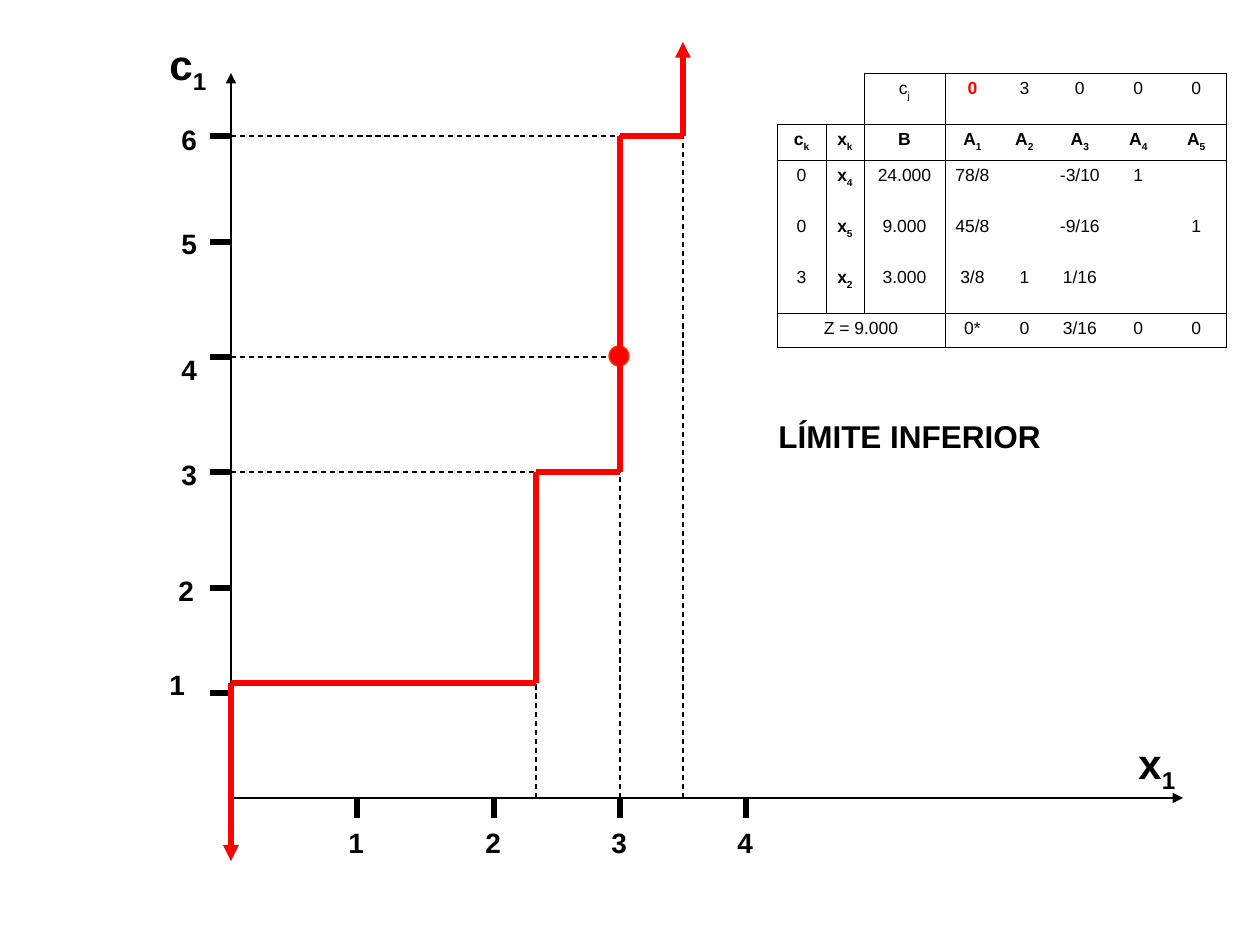
from itertools import pairwise

from lxml import etree
from pptx import Presentation
from pptx.dml.color import RGBColor
from pptx.enum.dml import MSO_LINE
from pptx.enum.shapes import MSO_CONNECTOR, MSO_SHAPE
from pptx.enum.text import PP_ALIGN
from pptx.oxml.ns import qn
from pptx.util import Pt

PX = 914400 / 126
FONT = "Arial"
BLACK = RGBColor(0x00, 0x00, 0x00)
RED = RGBColor(0xFF, 0x00, 0x00)
ORANGE_RED = RGBColor(0xFF, 0x33, 0x00)
STRAIGHT = MSO_CONNECTOR.STRAIGHT
OVAL = MSO_SHAPE.OVAL
DASH = MSO_LINE.DASH
CENTER = PP_ALIGN.CENTER

X_TICKS = [126, 263, 389, 515]
Y_TICKS = [105, 210, 326, 441, 556, 662]
Y_LABELS = [(-74, 137), (-65, 231), (-62, 347), (-62, 452), (-62, 578), (-62, 682)]
STEPS = [(0, -63), (0, 115), (305, 115), (305, 326), (389, 326),
         (389, 441), (389, 662), (452, 662), (452, 756)]
GUIDES = [((305, 0), (305, 115)), ((389, 0), (389, 441)), ((452, 0), (452, 662)),
          ((0, 326), (389, 326)), ((0, 441), (378, 441)), ((0, 662), (389, 662))]

COLUMN_WIDTHS = [49, 38, 81, 55, 49, 62, 55, 61]
ROW_HEIGHTS = [51, 36, 51, 51, 51, 34]
CELLS = [
    ["", "", "c_j", "0", "3", "0", "0", "0"],
    ["c_k", "x_k", "B", "A_1", "A_2", "A_3", "A_4", "A_5"],
    ["0", "x_4", "24.000", "78/8", "", "-3/10", "1", ""],
    ["0", "x_5", "9.000", "45/8", "", "-9/16", "", "1"],
    ["3", "x_2", "3.000", "3/8", "1", "1/16", "", ""],
    ["Z = 9.000", "", "", "0*", "0", "3/16", "0", "0"],
]
VERTICAL_RULES = {0: range(1, 6), 1: range(1, 5), 2: range(5), 3: range(6), 8: range(6)}
HORIZONTAL_RULES = {0: range(2, 8), 1: range(8), 2: range(8), 5: range(8), 6: range(8)}


def emu(pixels):
    return round(pixels * PX)


def write(paragraph, text, size, bold=True, color=BLACK):
    base, _, subscript = text.partition("_")
    paragraph.text = base
    if subscript:
        run = paragraph.add_run()
        run.text = subscript
        run._r.get_or_add_rPr().set("baseline", "-25000")
    for run in paragraph.runs:
        run.font.name = FONT
        run.font.size = Pt(size)
        run.font.bold = bold
        run.font.color.rgb = color


def add_label(slide, box, text, size, wrap=False):
    shape = slide.shapes.add_textbox(*map(emu, box))
    shape.text_frame.word_wrap = wrap
    write(shape.text_frame.paragraphs[0], text, size)


def add_line(slide, start, end, width, color=BLACK, dashed=False, arrow=False):
    connector = slide.shapes.add_connector(STRAIGHT, *map(emu, (*start, *end)))
    connector.line.color.rgb = color
    connector.line.width = Pt(width)
    if dashed:
        connector.line.dash_style = DASH
    if arrow:
        line = connector.line._get_or_add_ln()
        etree.SubElement(line, qn("a:tailEnd"), type="triangle")
    etree.SubElement(connector._element.spPr, qn("a:effectLst"))


def add_step_graph(slide, left, top, width, height):
    def place(across, up):
        return left + across, top + height - up

    add_line(slide, place(0, 0), place(0, height), 1.5, arrow=True)
    add_line(slide, place(0, 0), place(width, 0), 1.5, arrow=True)
    add_label(slide, (*place(-74, 766), 79, 71), "c_1", 24, wrap=True)
    add_label(slide, (*place(895, 67), 79, 71), "x_1", 24, wrap=True)

    for number, across in enumerate(X_TICKS, 1):
        add_line(slide, place(across, -20), place(across, 0), 3)
        add_label(slide, (*place(across - 21, -21), 40, 47), str(number), 16)
    for number, (up, corner) in enumerate(zip(Y_TICKS, Y_LABELS), 1):
        add_line(slide, place(-21, up), place(-1, up), 3)
        add_label(slide, (*place(*corner), 40, 47), str(number), 16)

    for start, end in GUIDES:
        add_line(slide, place(*start), place(*end), 0.75, dashed=True)

    marker = slide.shapes.add_shape(OVAL, *map(emu, (*place(378, 452), 20, 20)))
    marker.shadow.inherit = False
    marker.fill.solid()
    marker.fill.fore_color.rgb = RED
    marker.line.color.rgb = ORANGE_RED
    marker.line.width = Pt(0.75)

    add_line(slide, place(*STEPS[1]), place(*STEPS[0]), 3, RED, arrow=True)
    for start, end in pairwise(STEPS[1:]):
        add_line(slide, place(*start), place(*end), 3, RED, arrow=end == STEPS[-1])


def set_borders(cell, row, column):
    edges = {
        "a:lnL": row in VERTICAL_RULES.get(column, ()),
        "a:lnR": row in VERTICAL_RULES.get(column + 1, ()),
        "a:lnT": column in HORIZONTAL_RULES.get(row, ()),
        "a:lnB": column in HORIZONTAL_RULES.get(row + 1, ()),
    }
    properties = cell._tc.get_or_add_tcPr()
    for position, (tag, ruled) in enumerate(edges.items()):
        line = etree.Element(qn(tag), w=str(Pt(0.45)))
        if ruled:
            fill = etree.SubElement(line, qn("a:solidFill"))
            etree.SubElement(fill, qn("a:srgbClr"), val=str(BLACK))
        else:
            etree.SubElement(line, qn("a:noFill"))
        properties.insert(position, line)


def add_simplex_table(slide, left, top, width, height):
    box = map(emu, (left, top, width, height))
    table = slide.shapes.add_table(len(CELLS), len(CELLS[0]), *box).table
    table.first_row = False
    table.horz_banding = False
    for column, column_width in zip(table.columns, COLUMN_WIDTHS):
        column.width = emu(column_width)
    for row, row_height in zip(table.rows, ROW_HEIGHTS):
        row.height = emu(row_height)
    table.cell(5, 0).merge(table.cell(5, 2))

    for row, texts in enumerate(CELLS):
        for column, text in enumerate(texts):
            cell = table.cell(row, column)
            cell.margin_left = cell.margin_right = emu(6)
            cell.margin_top = cell.margin_bottom = emu(6)
            cell.fill.background()
            set_borders(cell, row, column)
            if text:
                entering = (row, column) == (0, 3)
                paragraph = cell.text_frame.paragraphs[0]
                paragraph.alignment = CENTER
                write(paragraph, text, 10, row == 1 or column == 1 or entering,
                      RED if entering else BLACK)


def main():
    presentation = Presentation()
    presentation.slide_width = emu(1260)
    presentation.slide_height = emu(945)
    slide = presentation.slides.add_slide(presentation.slide_layouts[6])
    add_step_graph(slide, 231, 73, 952, 725)
    add_simplex_table(slide, 777, 73, sum(COLUMN_WIDTHS), sum(ROW_HEIGHTS))
    add_label(slide, (766, 411, 378, 50), "LÍMITE INFERIOR", 18, wrap=True)
    presentation.save("out.pptx")


if __name__ == "__main__":
    main()
